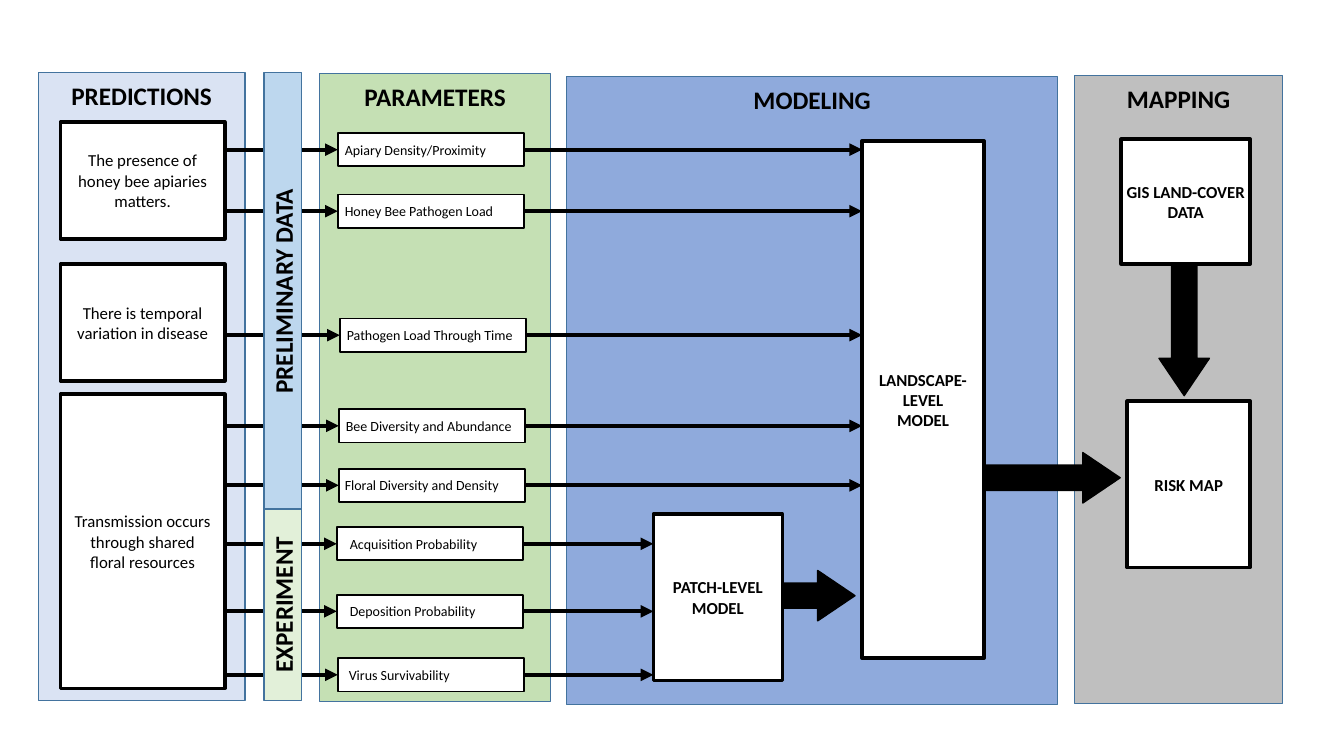
from dataclasses import dataclass

from lxml import etree
from pptx import Presentation
from pptx.dml.color import RGBColor
from pptx.enum.shapes import MSO_CONNECTOR, MSO_SHAPE
from pptx.enum.text import MSO_ANCHOR, PP_ALIGN
from pptx.oxml.ns import qn
from pptx.util import Inches, Pt

RECTANGLE, BLOCK_ARROW = MSO_SHAPE.RECTANGLE, MSO_SHAPE.RIGHT_ARROW
STRAIGHT = MSO_CONNECTOR.STRAIGHT
TOP, MIDDLE = MSO_ANCHOR.TOP, MSO_ANCHOR.MIDDLE
LEFT, CENTER = PP_ALIGN.LEFT, PP_ALIGN.CENTER
LEFT_SIDE, RIGHT_SIDE = 1, 3


@dataclass(frozen=True)
class Theme:
    font: str = "Calibri"
    ink: str = "000000"
    paper: str = "FFFFFF"
    panel_edge: str = "43739E"
    predictions: str = "DAE3F3"
    parameters: str = "C5E0B4"
    modeling: str = "8FAADC"
    mapping: str = "BFBFBF"
    preliminary: str = "BDD7EE"
    experiment: str = "E2F0D9"
    heading_size: int = 18
    body_size: int = 12
    label_size: int = 10
    panel_line: float = 1
    label_line: float = 1.25
    box_line: float = 2.5
    arrow_line: float = 3


theme = Theme()
deck = Presentation()
deck.slide_width, deck.slide_height = Inches(13.33), Inches(7.5)
page = deck.slides.add_slide(deck.slide_layouts[6])

# The page is a grid of 1333 columns by 750 rows; all places are in cells
COLUMN = deck.slide_width / 1333
ROW = deck.slide_height / 750


def add_box(place, fill, edge, weight, lines=(), size=theme.body_size, bold=False,
            align=CENTER, anchor=MIDDLE, inset=0, top_inset=0, kind=RECTANGLE):
    left, top, width, height = place
    box = page.shapes.add_shape(kind, round(left * COLUMN), round(top * ROW),
                                round(width * COLUMN), round(height * ROW))
    box.shadow.inherit = False
    box.fill.solid()
    box.fill.fore_color.rgb = RGBColor.from_string(fill)
    box.line.color.rgb = RGBColor.from_string(edge)
    box.line.width = Pt(weight)
    frame = box.text_frame
    frame.word_wrap = True
    frame.vertical_anchor = anchor
    frame.margin_left = frame.margin_right = round(inset * COLUMN)
    frame.margin_top, frame.margin_bottom = round(top_inset * ROW), 0
    for number, line in enumerate(lines):
        para = frame.add_paragraph() if number else frame.paragraphs[0]
        para.alignment = align
        span = para.add_run()
        span.text = line
        span.font.name = theme.font
        span.font.size = Pt(size)
        span.font.bold = bold
        span.font.color.rgb = RGBColor.from_string(theme.ink)
    return box


def add_arrow(start, end, row):
    arrow = page.shapes.add_connector(STRAIGHT, round(start * COLUMN), round(row * ROW),
                                      round(end * COLUMN), round(row * ROW))
    arrow.line.color.rgb = RGBColor.from_string(theme.ink)
    arrow.line.width = Pt(theme.arrow_line)
    properties = arrow.element.spPr
    etree.SubElement(properties.find(qn("a:ln")), qn("a:tailEnd"), type="triangle")
    etree.SubElement(properties, qn("a:effectLst"))
    return arrow


# Panels with their headings
PANEL_HEIGHT = 623
for heading, left, top, width, fill in (
    ("MODELING", 562, 76, 487, theme.modeling),
    ("PARAMETERS", 317, 73, 229, theme.parameters),
    ("PREDICTIONS", 38, 72, 205, theme.predictions),
    ("MAPPING", 1066, 75, 206, theme.mapping),
):
    add_box((left, top, width, PANEL_HEIGHT), fill, theme.panel_edge, theme.panel_line,
            [heading], theme.heading_size, True, anchor=TOP, top_inset=8)

# Predictions
PREDICTION_LEFT, PREDICTION_WIDTH = 60, 163
for top, height, prediction in (
    (121, 116, "The presence of honey bee apiaries matters."),
    (262, 116, "There is temporal variation in disease"),
    (391, 292, "Transmission occurs through shared floral resources"),
):
    add_box((PREDICTION_LEFT, top, PREDICTION_WIDTH, height), theme.paper, theme.ink,
            theme.box_line, [prediction], inset=14)

# Models and maps
PATCH_LEFT, LANDSCAPE_LEFT = 648, 855
for place, lines in (
    ((PATCH_LEFT, 510, 128, 165), ["PATCH-LEVEL", "MODEL"]),
    ((LANDSCAPE_LEFT, 140, 121, 513), ["LANDSCAPE-", "LEVEL", "MODEL"]),
    ((1112, 138, 128, 124), ["GIS LAND-COVER DATA"]),
    ((1118, 398, 122, 165), ["RISK MAP"]),
):
    add_box(place, theme.paper, theme.ink, theme.box_line, lines, bold=True)

# Parameters, each with an arrow in from a prediction and one out to a model
LABEL_WIDTH, LABEL_HEIGHT = 185, 33
for label, left, top, inset, model_left in (
    ("Apiary Density/Proximity", 335, 132, 7, LANDSCAPE_LEFT),
    ("Honey Bee Pathogen Load", 335, 193, 7, LANDSCAPE_LEFT),
    ("Pathogen Load Through Time", 337, 316, 7, LANDSCAPE_LEFT),
    ("Bee Diversity and Abundance", 336, 406, 7, LANDSCAPE_LEFT),
    ("Floral Diversity and Density", 336, 465, 6, LANDSCAPE_LEFT),
    ("Acquisition Probability", 334, 523, 13, PATCH_LEFT),
    ("Deposition Probability", 334, 590, 13, PATCH_LEFT),
    ("Virus Survivability", 335, 653, 11, PATCH_LEFT),
):
    parameter = add_box((left, top, LABEL_WIDTH, LABEL_HEIGHT), theme.paper, theme.ink,
                        theme.label_line, [label], theme.label_size, align=LEFT, inset=inset)
    middle = top + LABEL_HEIGHT / 2
    arrow_in = add_arrow(PREDICTION_LEFT + PREDICTION_WIDTH, left, middle)
    arrow_in.end_connect(parameter, LEFT_SIDE)
    arrow_out = add_arrow(left + LABEL_WIDTH, model_left, middle)
    arrow_out.begin_connect(parameter, RIGHT_SIDE)

# Upright strips over the incoming arrows
for name, top, height, fill in (
    ("PRELIMINARY DATA", 72, 434, theme.preliminary),
    ("EXPERIMENT", 505, 190, theme.experiment),
):
    strip = add_box((262, top, 37, height), fill, theme.panel_edge, theme.panel_line,
                    [name], theme.heading_size, True)
    strip.element.txBody.find(qn("a:bodyPr")).set("vert", "vert270")

# Block arrows between models and maps
for left, top, length, turn in ((776, 566, 72, 0), (976, 449, 135, 0), (1109, 302, 131, 90)):
    block = add_box((left, top, length, 50), theme.ink, theme.ink, theme.panel_line,
                    kind=BLOCK_ARROW)
    block.adjustments[0], block.adjustments[1] = 0.5, 0.74
    block.rotation = turn

deck.save("out.pptx")
